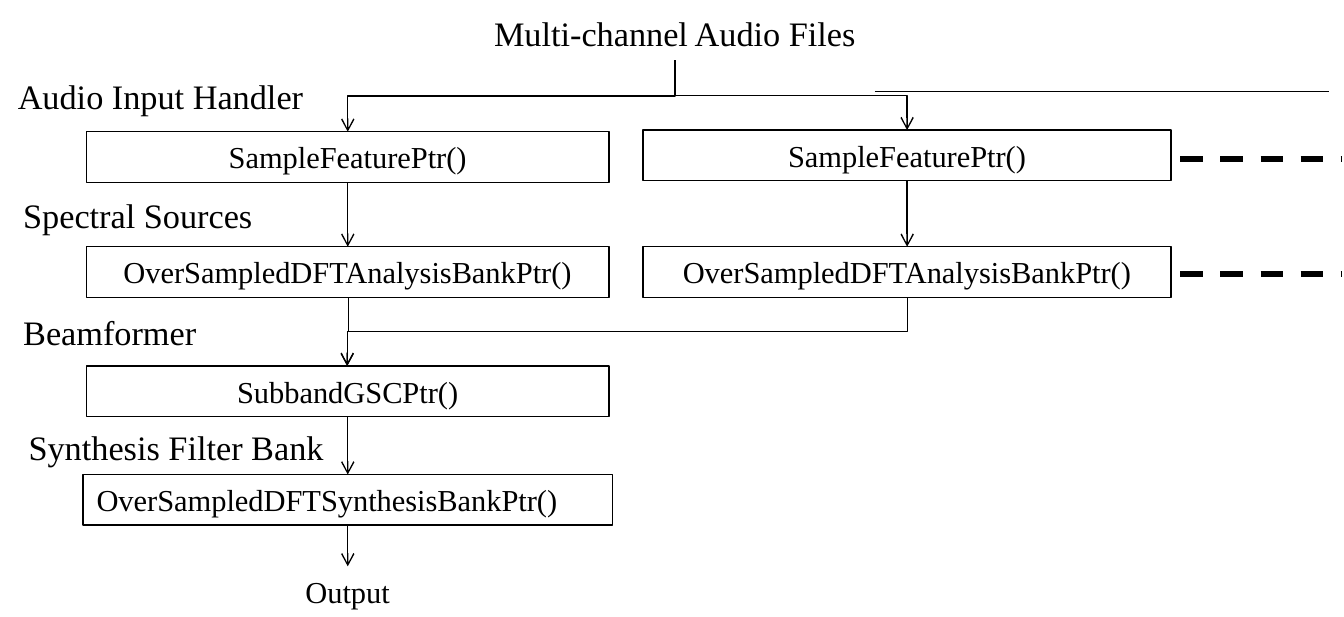
from dataclasses import dataclass
from itertools import pairwise

from lxml import etree
from pptx import Presentation
from pptx.dml.color import RGBColor
from pptx.enum import dml, shapes, text
from pptx.oxml.ns import qn
from pptx.util import Cm, Pt


@dataclass(frozen=True)
class Theme:
    font: str = "Times New Roman"
    ink: RGBColor = RGBColor(0, 0, 0)
    head: int = 18
    body: int = 16
    thin: float = 0.75
    thick: float = 3


@dataclass(frozen=True)
class Box:
    x: float
    y: float
    w: float
    h: float

    @property
    def mid(self):
        return self.x + self.w / 2

    @property
    def end(self):
        return self.y + self.h

    @property
    def cms(self):
        return [Cm(v) for v in (self.x, self.y, self.w, self.h)]


theme = Theme()
ALIGN = text.PP_ALIGN
STEP = 0.94  # height of a step box


# Basic parts
def write(shape, words, size, align=ALIGN.CENTER, wrap=True):
    frame = shape.text_frame
    frame.text = words
    frame.word_wrap = wrap
    frame.auto_size = text.MSO_AUTO_SIZE.SHAPE_TO_FIT_TEXT
    frame.vertical_anchor = text.MSO_ANCHOR.TOP
    para = frame.paragraphs[0]
    para.alignment = align
    para.font.name = theme.font
    para.font.size = Pt(size)
    para.font.color.rgb = theme.ink


def label(slide, box, words, size, align=ALIGN.LEFT, wrap=False):
    write(slide.shapes.add_textbox(*box.cms), words, size, align, wrap)


def step(slide, box, words, align=ALIGN.CENTER):
    shape = slide.shapes.add_shape(shapes.MSO_SHAPE.RECTANGLE, *box.cms)
    shape.shadow.inherit = False
    shape.fill.background()
    shape.line.color.rgb = theme.ink
    shape.line.width = Pt(theme.thin)
    write(shape, words, theme.body, align)
    return box


def line(slide, start, stop, arrow=False, width=theme.thin, kind="STRAIGHT"):
    ends = [Cm(v) for v in (*start, *stop)]
    link = slide.shapes.add_connector(shapes.MSO_CONNECTOR[kind], *ends)
    link.line.color.rgb = theme.ink
    link.line.width = Pt(width)
    if arrow:
        etree.SubElement(link.line._get_or_add_ln(), qn("a:tailEnd"), type="arrow")
    etree.SubElement(link._element.spPr, qn("a:effectLst"))
    return link


def elbow(slide, start, stop):
    """Arrow that runs down, across and down: an elbow turned by 90 degrees."""
    (x1, y1), (x2, y2) = start, stop
    midx, midy = (x1 + x2) / 2, (y1 + y2) / 2
    side = 1 if x2 > x1 else -1
    dx, dy = side * (y2 - y1) / 2, abs(x2 - x1) / 2
    link = line(slide, (midx + dx, midy - dy), (midx - dx, midy + dy),
                arrow=True, kind="ELBOW")
    turn = 270 if side > 0 else 90
    link._element.spPr.xfrm.set("rot", str(turn * 60000))


def dash(slide, x, y, w):
    rule = line(slide, (x, y), (x + w, y), width=theme.thick)
    rule.line.dash_style = dml.MSO_LINE.DASH


# Regions
def title(slide, box):
    head = slide.shapes.title
    head.left, head.top, head.width, head.height = box.cms
    write(head, "Multi-channel Audio Files", theme.head)


def channel(slide, box):
    """Sample and analysis steps at the top and bottom of the box."""
    first = step(slide, Box(box.x, box.y, box.w, STEP), "SampleFeaturePtr()")
    last = step(slide, Box(box.x, box.end - STEP, box.w, STEP),
                "OverSampledDFTAnalysisBankPtr()")
    line(slide, (box.mid, first.end), (box.mid, last.y), arrow=True)
    return first, last


def merge(slide, box):
    """Beamformer, synthesis and output, down the box."""
    beam = step(slide, Box(box.x + 0.06, box.y, box.w - 0.12, STEP),
                "SubbandGSCPtr()")
    bank = step(slide, Box(box.x, box.y + 2.01, box.w, STEP),
                "OverSampledDFTSynthesisBankPtr()", ALIGN.LEFT)
    out = Box(box.x, box.end - STEP, box.w, STEP)
    label(slide, out, "Output", theme.body, ALIGN.CENTER, True)
    for top, low in pairwise((beam, bank, out)):
        line(slide, (top.mid, top.end), (low.mid, low.y), arrow=True)
    return beam


def stages(slide, box):
    names = (("Audio Input Handler", 0, 0, 5.87),
             ("Spectral Sources", 0.1, 2.21, 4.8),
             ("Beamformer", 0.1, 4.37, 3.76),
             ("Synthesis Filter Bank", 0.2, 6.5, 6.05))
    for words, x, y, w in names:
        label(slide, Box(box.x + x, box.y + y, w, 1.02), words, theme.head)


def more(slide, box):
    """Dashed lines for further channels, under a thin rule."""
    line(slide, (box.x, box.y), (box.x + box.w, box.y))
    for y in (1.25, 3.38):
        dash(slide, box.x + 5.66, box.y + y, 2.97)


def flow(slide, box):
    title(slide, Box(box.x + 0.79, box.y + 0.1, 23.42, 1.02))
    left = channel(slide, Box(box.x + 1.6, box.y + 2.44, 9.68, 3.07))
    right = channel(slide, Box(box.x + 11.91, box.y + 2.41, 9.78, 3.1))
    beam = merge(slide, Box(box.x + 1.54, box.y + 6.78, 9.8, 4.65))

    # Split the input, then join the channels
    source = (box.x + 12.5, box.y + 1.12)
    for first, last in (left, right):
        elbow(slide, source, (first.mid, first.y))
        elbow(slide, (last.mid + 0.01, last.end), (beam.mid - 0.01, beam.y))

    stages(slide, Box(box.x + 0.08, box.y + 1.27, 6.25, 7.52))
    more(slide, Box(box.x + 16.2, box.y + 1.7, 8.42, 3.38))


deck = Presentation()
page = Box(0, 0, 24.89, 11.43)
deck.slide_width, deck.slide_height = page.cms[2:]
flow(deck.slides.add_slide(deck.slide_layouts[5]), page)
deck.save("out.pptx")
